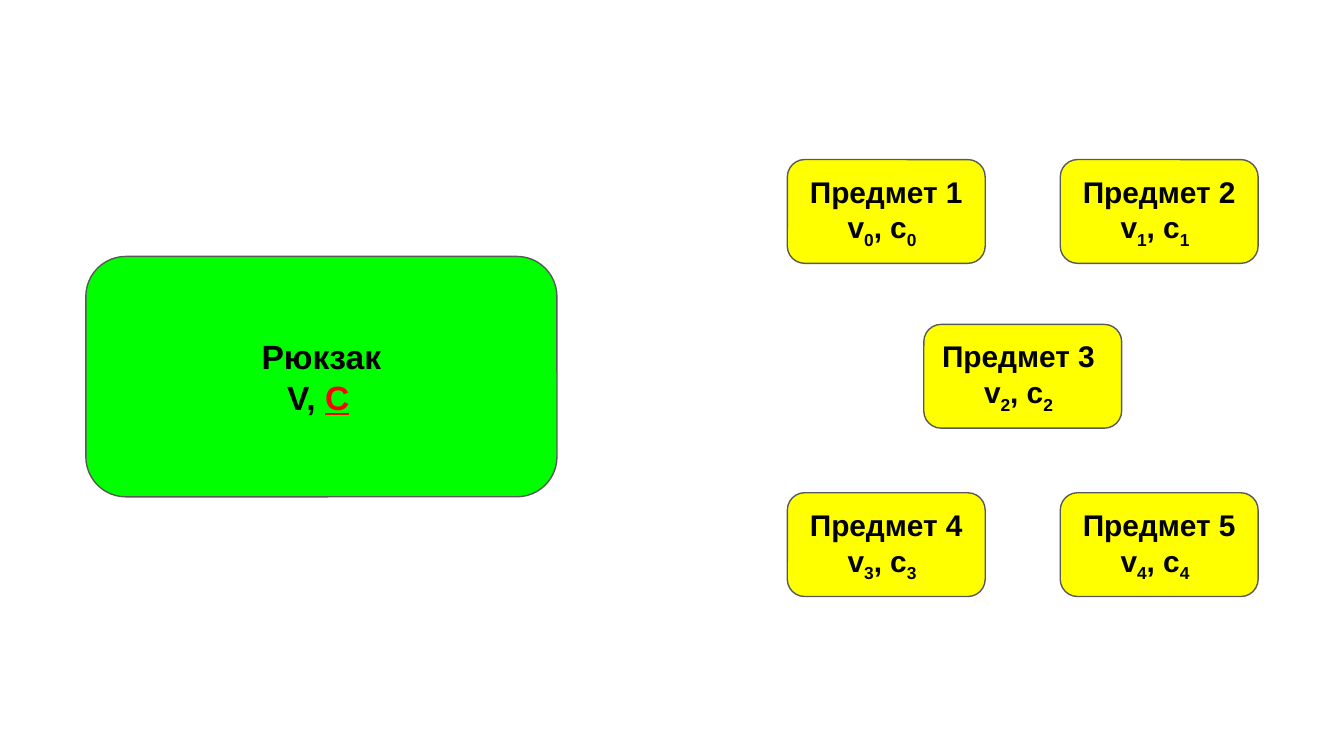
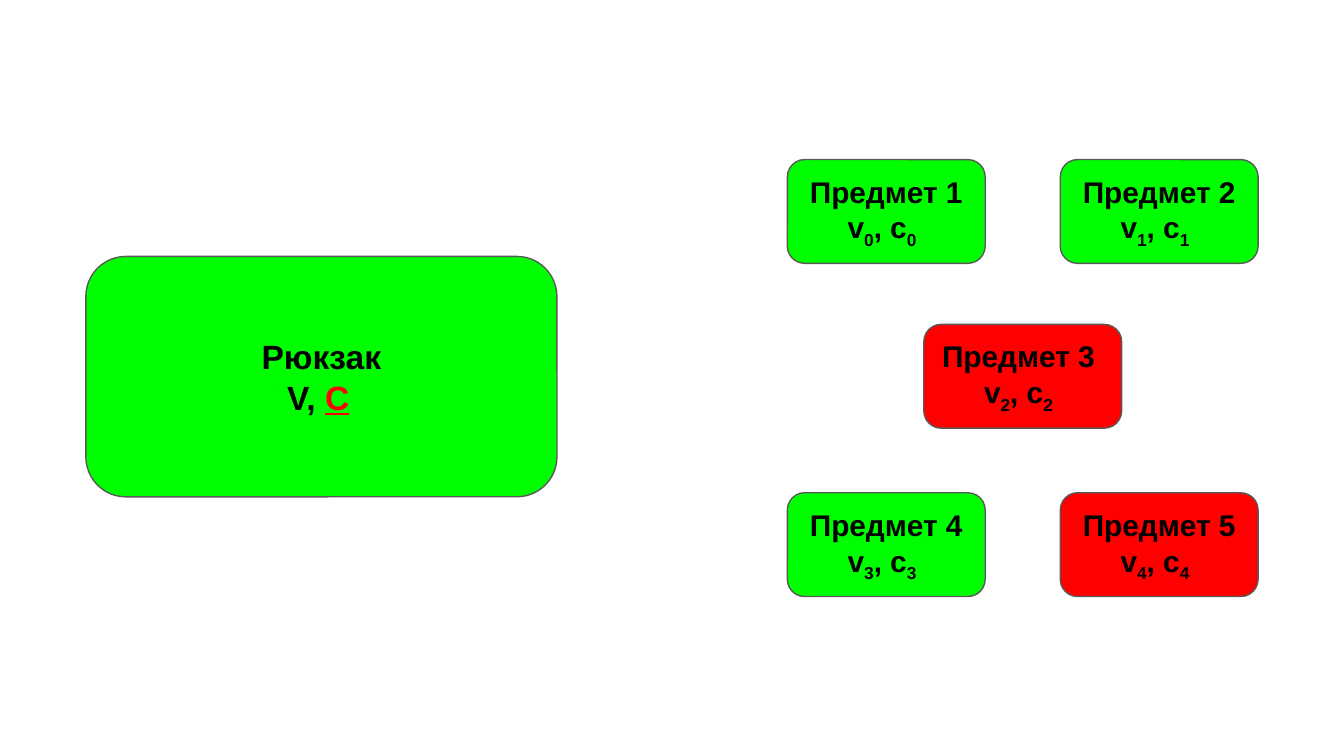
import pptx
import pptx.dml.color
import pptx.enum.shapes
import pptx.enum.text
import pptx.util

Pt = pptx.util.Pt
ALIGN = pptx.enum.text.PP_ALIGN

COLORS = {
    "green": "00FF00",
    "yellow": "FFFF00",
    "red": "FF0000",
    "line": "595959",
    "text": "000000",
}
FONT = "Arial"
INSET = 7.2

ITEM_WIDTH, ITEM_HEIGHT = 106, 55.6
LEFT_COLUMN, RIGHT_COLUMN = 421.8, 568
MIDDLE_COLUMN = (LEFT_COLUMN + RIGHT_COLUMN) / 2
TOP_ROW, MIDDLE_ROW, BOTTOM_ROW = 85.5, 173.8, 264
ITEM_PLACES = {
    1: (LEFT_COLUMN, TOP_ROW),
    2: (RIGHT_COLUMN, TOP_ROW),
    4: (LEFT_COLUMN, BOTTOM_ROW),
    5: (RIGHT_COLUMN, BOTTOM_ROW),
    3: (MIDDLE_COLUMN, MIDDLE_ROW),
}

SLIDE_ITEM_COLORS = [
    dict.fromkeys(ITEM_PLACES, "yellow"),
    {1: "green", 2: "green", 3: "red", 4: "green", 5: "red"},
]


def rgb(name):
    return pptx.dml.color.RGBColor.from_string(COLORS[name])


def add_box(slide, left, top, width, height, fill):
    kind = pptx.enum.shapes.MSO_SHAPE.FLOWCHART_ALTERNATE_PROCESS
    shape = slide.shapes.add_shape(kind, Pt(left), Pt(top), Pt(width), Pt(height))
    shape.shadow.inherit = False
    shape.fill.solid()
    shape.fill.fore_color.rgb = rgb(fill)
    shape.line.color.rgb = rgb("line")
    shape.line.width = Pt(0.75)
    frame = shape.text_frame
    frame.word_wrap = True
    frame.vertical_anchor = pptx.enum.text.MSO_ANCHOR.MIDDLE
    frame.margin_left = frame.margin_right = Pt(INSET)
    frame.margin_top = frame.margin_bottom = Pt(INSET)
    return frame


def add_run(paragraph, text, size, color="text"):
    run = paragraph.add_run()
    run.text = text
    run.font.name = FONT
    run.font.size = Pt(size)
    run.font.bold = True
    run.font.color.rgb = rgb(color)
    return run


def add_indented_paragraph(frame, indent):
    paragraph = frame.add_paragraph()
    paragraph.alignment = ALIGN.LEFT
    properties = paragraph._p.get_or_add_pPr()
    properties.set("marL", str(Pt(indent)))
    properties.set("indent", "0")
    return paragraph


def add_backpack(slide):
    frame = add_box(slide, 46, 137.4, 252.4, 128.8, "green")
    name = frame.paragraphs[0]
    name.alignment = ALIGN.CENTER
    add_run(name, "Рюкзак", 18)
    limits = add_indented_paragraph(frame, 94.5)
    add_run(limits, "V, ", 18)
    add_run(limits, "C", 18, "red").font.underline = True


def add_item(slide, number, fill):
    left, top = ITEM_PLACES[number]
    frame = add_box(slide, left, top, ITEM_WIDTH, ITEM_HEIGHT, fill)
    name = frame.paragraphs[0]
    name.alignment = ALIGN.LEFT if number == 3 else ALIGN.CENTER
    add_run(name, f"Предмет {number}", 16)
    values = add_indented_paragraph(frame, 22.5)
    for symbol in ("v", ", c"):
        add_run(values, symbol, 16)
        index = add_run(values, str(number - 1), 16)
        index.font._element.set("baseline", "-25000")


def main():
    presentation = pptx.Presentation()
    presentation.slide_width = Pt(720)
    presentation.slide_height = Pt(405)
    blank_layout = presentation.slide_layouts[6]
    for item_colors in SLIDE_ITEM_COLORS:
        slide = presentation.slides.add_slide(blank_layout)
        add_backpack(slide)
        for number in ITEM_PLACES:
            add_item(slide, number, item_colors[number])
    presentation.save("out.pptx")


if __name__ == "__main__":
    main()
